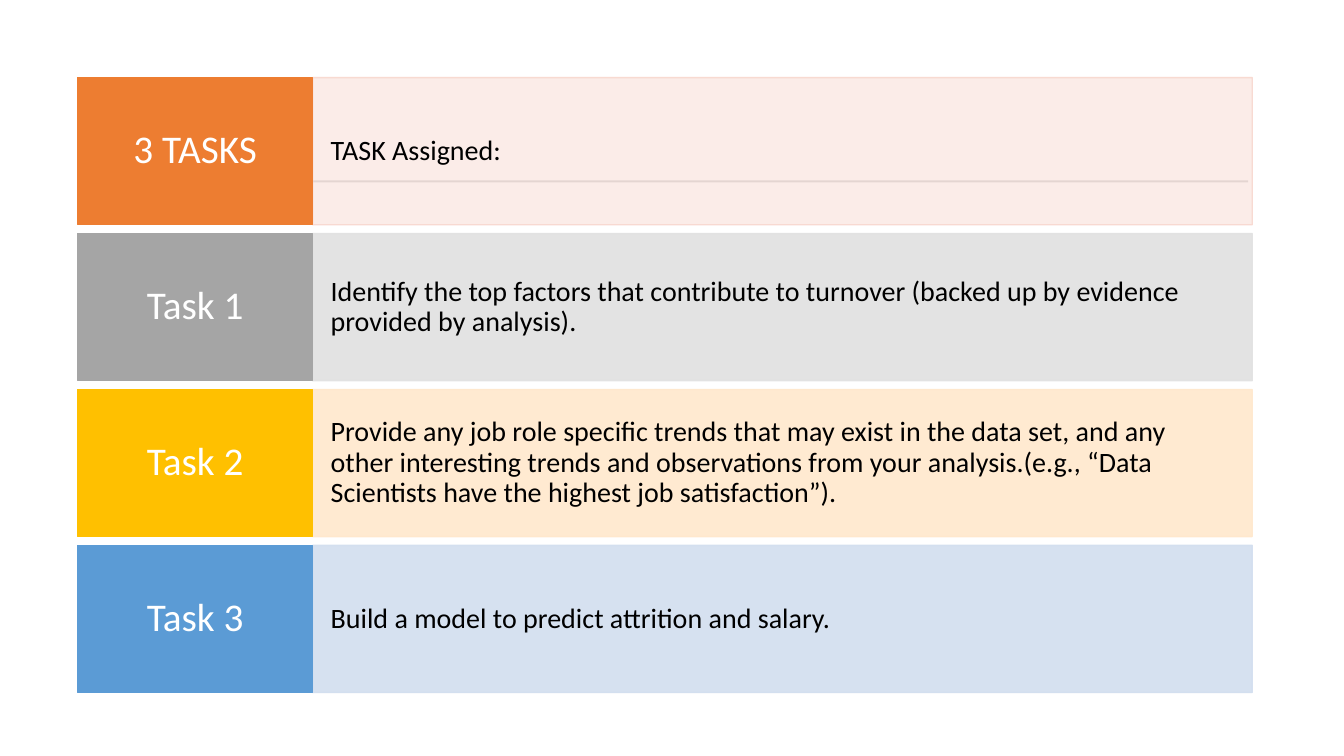
"""Build a slide that lists three assigned tasks as coloured rows."""
from lxml import etree
from pptx import Presentation
from pptx.dml.color import RGBColor
from pptx.enum.shapes import MSO_SHAPE
from pptx.enum.text import MSO_ANCHOR, PP_ALIGN
from pptx.oxml.ns import qn
from pptx.util import Inches, Pt

RECTANGLE = MSO_SHAPE.RECTANGLE
MIDDLE = MSO_ANCHOR.MIDDLE
LEFT, CENTER = PP_ALIGN.LEFT, PP_ALIGN.CENTER

THEME = {
    "font": "Calibri",
    "label_size": 28,
    "detail_size": 20,
    "label_text": "FFFFFF",
    "detail_text": "000000",
    "rule": "D5D5D5",
    "outline_width": 1,
    "outline_opacity": 90,
    "label_insets": (0.12, 0.14),
    "detail_insets": (0.18, 0.37),
}

TASKS = [
    ("3 TASKS", "ED7D31", "TASK Assigned:", "F8D7CE", 45),
    ("Task 1", "A5A5A5",
     "Identify the top factors that contribute to turnover "
     "(backed up by evidence provided by analysis).", "E1E1E1", 90),
    ("Task 2", "FFC000",
     "Provide any job role specific trends that may exist in the data set, "
     "and any other interesting trends and observations from your analysis."
     "(e.g., “Data Scientists have the highest job satisfaction”).", "FFE8CC", 90),
    ("Task 3", "5B9BD5", "Build a model to predict attrition and salary.", "D2DEEF", 90),
]

MARGIN = 0.77
LABEL_WIDTH, DETAIL_WIDTH = 2.33, 9.32
ROW_HEIGHT, ROW_PITCH = 1.46, 1.547


def paint(color_format, color, opacity=100):
    """Make a fill solid in one colour at an opacity in percent."""
    color_format.solid()
    color_format.fore_color.rgb = RGBColor.from_string(color)
    if opacity < 100:
        for element in color_format._xPr.iter(qn("a:srgbClr")):
            etree.SubElement(element, qn("a:alpha"), val=str(opacity * 1000))
            break


def add_cell(slide, box, color, opacity, text, role, alignment):
    """Add one filled rectangle with its text."""
    shape = slide.shapes.add_shape(RECTANGLE, *map(Inches, box))
    shape.shadow.inherit = False
    paint(shape.fill, color, opacity)
    shape.line.width = Pt(THEME["outline_width"])
    paint(shape.line.fill, color, min(100, THEME["outline_opacity"] if opacity < 100 else 100))
    frame = shape.text_frame
    frame.word_wrap = True
    frame.vertical_anchor = MIDDLE
    side, end = map(Inches, THEME[role + "_insets"])
    frame.margin_left = frame.margin_right = side
    frame.margin_top = frame.margin_bottom = end
    paragraph = frame.paragraphs[0]
    paragraph.alignment = alignment
    paragraph.line_spacing = 0.9
    run = paragraph.add_run()
    run.text = text
    run.font.name = THEME["font"]
    run.font.size = Pt(THEME[role + "_size"])
    run.font.color.rgb = RGBColor.from_string(THEME[role + "_text"])


presentation = Presentation()
presentation.slide_width = Inches(13.33)
presentation.slide_height = Inches(7.5)
slide = presentation.slides.add_slide(presentation.slide_layouts.get_by_name("Blank"))

rule = slide.shapes.add_shape(RECTANGLE, Inches(0.95), Inches(1.79), Inches(11.43), Inches(0.02))
rule.shadow.inherit = False
paint(rule.fill, THEME["rule"])
rule.line.fill.background()

for row, (label, label_color, detail, detail_color, opacity) in enumerate(TASKS):
    top = MARGIN + row * ROW_PITCH
    detail_box = (MARGIN + LABEL_WIDTH, top, DETAIL_WIDTH, ROW_HEIGHT)
    label_box = (MARGIN, top, LABEL_WIDTH, ROW_HEIGHT)
    add_cell(slide, detail_box, detail_color, opacity, detail, "detail", LEFT)
    add_cell(slide, label_box, label_color, 100, label, "label", CENTER)

presentation.save("out.pptx")
